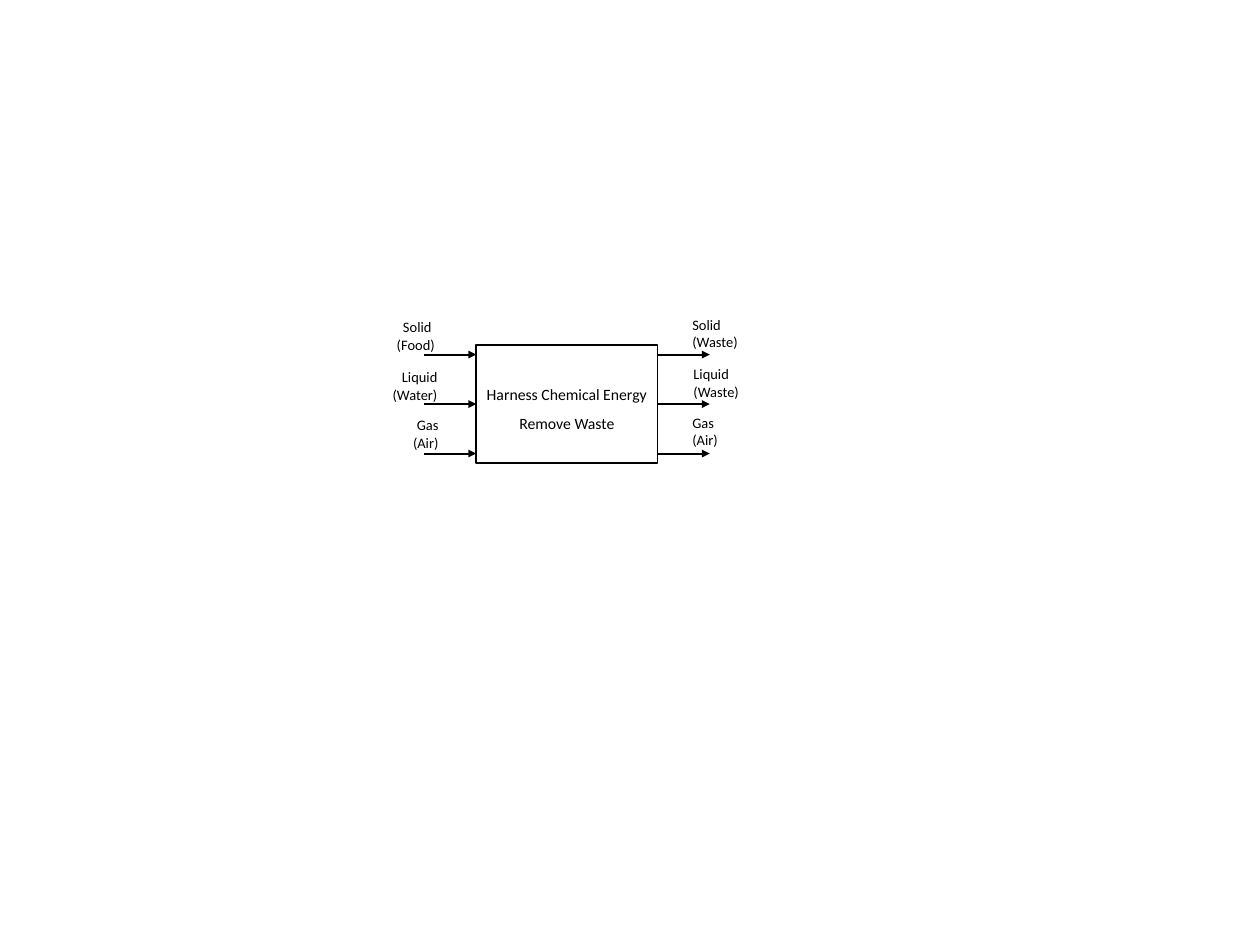
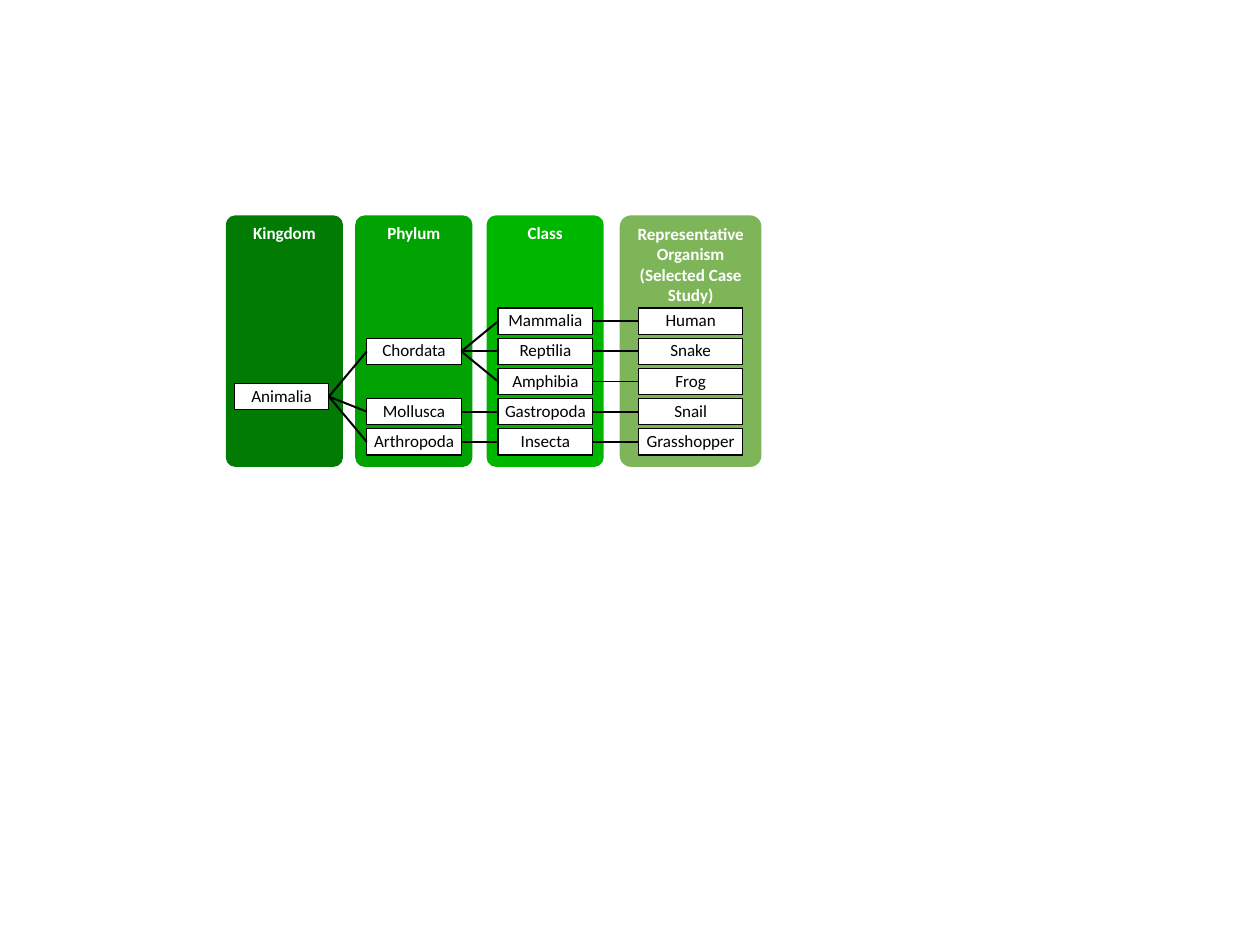
from lxml.etree import SubElement
from pptx import Presentation
from pptx.dml.color import RGBColor
from pptx.enum.shapes import MSO_CONNECTOR, MSO_SHAPE
from pptx.enum.text import MSO_ANCHOR, MSO_AUTO_SIZE, PP_ALIGN
from pptx.oxml.ns import qn
from pptx.util import Cm, Pt

FONT = "Calibri"
BLACK = "000000"
WHITE = "FFFFFF"
TOP, LEFT, BOTTOM, RIGHT = range(4)  # connection sites of a rectangle


def add_box(page, preset, area, fill, outline, lines, size, colour=BLACK,
            align=PP_ALIGN.CENTER, spacing=None):
    """Add a shape, or a plain text box when there is no preset."""
    area = [Cm(length) for length in area]
    if preset is None:
        box = page.shapes.add_textbox(*area)
    else:
        box = page.shapes.add_shape(preset, *area)
        box.shadow.inherit = False
        box.fill.solid()
        box.fill.fore_color.rgb = RGBColor.from_string(fill)
        if outline:
            box.line.color.rgb = RGBColor.from_string(outline)
            box.line.width = Pt(1)
        else:
            box.line.fill.background()
    frame = box.text_frame
    frame.word_wrap = preset is not None
    for number, text in enumerate(lines):
        para = frame.add_paragraph() if number else frame.paragraphs[0]
        para.text = text
        para.alignment = align
        para.line_spacing = spacing
        para.font.name = FONT
        para.font.size = Pt(size)
        para.font.color.rgb = RGBColor.from_string(colour)
    return box


def add_line(page, x1, y1, x2, y2, arrow=False):
    line = page.shapes.add_connector(
        MSO_CONNECTOR.STRAIGHT, Cm(x1), Cm(y1), Cm(x2), Cm(y2))
    line.line.color.rgb = RGBColor.from_string(BLACK)
    line.line.width = Pt(1.5)
    if arrow:
        SubElement(line.line._get_or_add_ln(), qn("a:tailEnd"), type="triangle")
    SubElement(line._element.spPr, qn("a:effectLst"))
    return line


deck = Presentation()
deck.slide_width, deck.slide_height = Cm(33.87), Cm(25.4)
blank = deck.slide_layouts[6]

# Slide 1: flows into and out of the organism
page = deck.slides.add_slide(blank)
box_left, box_top, box_width, box_height = 12.8, 9.27, 4.88, 3.18
box_right = box_left + box_width
organism = add_box(page, MSO_SHAPE.RECTANGLE,
                   (box_left, box_top, box_width, box_height), WHITE, BLACK,
                   ["Harness Chemical Energy", "Remove Waste"], 12, spacing=1.5)
frame = organism.text_frame
frame.vertical_anchor = MSO_ANCHOR.MIDDLE
frame.margin_left = frame.margin_right = Cm(0.15)
frame.margin_top = frame.margin_bottom = Cm(0.08)

# Labels: left, top, width, lines
inputs = [(10.39, 8.43, 1.55, ["Solid ", "(Food)"]),
          (10.26, 9.78, 1.75, ["Liquid", "(Water)"]),
          (10.82, 11.07, 1.22, ["Gas\n(Air)"])]
outputs = [(18.36, 8.36, 1.75, ["Solid", "(Waste)"]),
           (18.39, 9.7, 1.75, ["Liquid", "(Waste)"]),
           (18.36, 11, 1.22, ["Gas\n(Air)"])]
for labels, align in ((inputs, PP_ALIGN.RIGHT), (outputs, PP_ALIGN.LEFT)):
    for left, top, width, lines in labels:
        label = add_box(page, None, (left, top, width, 1.19), None, None,
                        lines, 11, align=align)
        label.text_frame.auto_size = MSO_AUTO_SIZE.SHAPE_TO_FIT_TEXT

# Arrows, evenly spaced about the middle of the box
arrow_length, arrow_pitch = 1.4, 1.33
for step in (-1, 0, 1):
    y = box_top + box_height / 2 + step * arrow_pitch
    arrow_in = add_line(page, box_left - arrow_length, y, box_left, y, arrow=True)
    arrow_out = add_line(page, box_right, y, box_right + arrow_length, y, arrow=True)
    if step == 0:
        arrow_in.end_connect(organism, LEFT)
        arrow_out.begin_connect(organism, RIGHT)

# Slide 2: classification tree
page = deck.slides.add_slide(blank)

# Columns: left, width, fill, heading, left and width of boxes, {name: row}
columns = [
    (6.07, 3.15, "017B03", ["Kingdom"], 6.3, 2.54, {"Animalia": 2.5}),
    (9.55, 3.15, "00A301", ["Phylum"], 9.86, 2.54,
     {"Chordata": 1, "Mollusca": 3, "Arthropoda": 4}),
    (13.08, 3.15, "00B700", ["Class"], 13.39, 2.54,
     {"Mammalia": 0, "Reptilia": 1, "Amphibia": 2, "Gastropoda": 3, "Insecta": 4}),
    (16.66, 3.81, "70AD47", ["Representative Organism", "(Selected Case Study)"],
     17.17, 2.79,
     {"Human": 0, "Snake": 1, "Frog": 2, "Snail": 3, "Grasshopper": 4}),
]
first_row, row_pitch = 8.28, 0.81
nodes = {}
for left, width, fill, heading, node_left, node_width, names in columns:
    column = add_box(page, MSO_SHAPE.ROUNDED_RECTANGLE, (left, 5.79, width, 6.76),
                     fill, None, heading, 13, WHITE)
    column.adjustments[0] = 0.08
    column.text_frame.vertical_anchor = MSO_ANCHOR.TOP
    for para in column.text_frame.paragraphs:
        para.font.bold = True
    for name, row in names.items():
        node = add_box(page, MSO_SHAPE.RECTANGLE,
                       (node_left, first_row + row * row_pitch, node_width, 0.71),
                       WHITE, BLACK, [name], 13, spacing=0.9)
        frame = node.text_frame
        frame.vertical_anchor = MSO_ANCHOR.MIDDLE
        frame.margin_left = frame.margin_right = Cm(0.08)
        frame.margin_top = frame.margin_bottom = Cm(0.08)
        nodes[name] = node

# The last column is slightly transparent
colour = column._element.spPr.find(qn("a:solidFill"))[0]
SubElement(colour, qn("a:alpha"), val="90000")

# Branches from parent to children
branches = {
    "Animalia": ["Chordata", "Mollusca", "Arthropoda"],
    "Chordata": ["Mammalia", "Reptilia", "Amphibia"],
    "Mollusca": ["Gastropoda"],
    "Arthropoda": ["Insecta"],
    "Mammalia": ["Human"],
    "Reptilia": ["Snake"],
    "Amphibia": ["Frog"],
    "Gastropoda": ["Snail"],
    "Insecta": ["Grasshopper"],
}
for parent, children in branches.items():
    for child in children:
        branch = add_line(page, 0, 0, 0, 0)
        branch.begin_connect(nodes[parent], RIGHT)
        branch.end_connect(nodes[child], LEFT)

deck.save("out.pptx")
